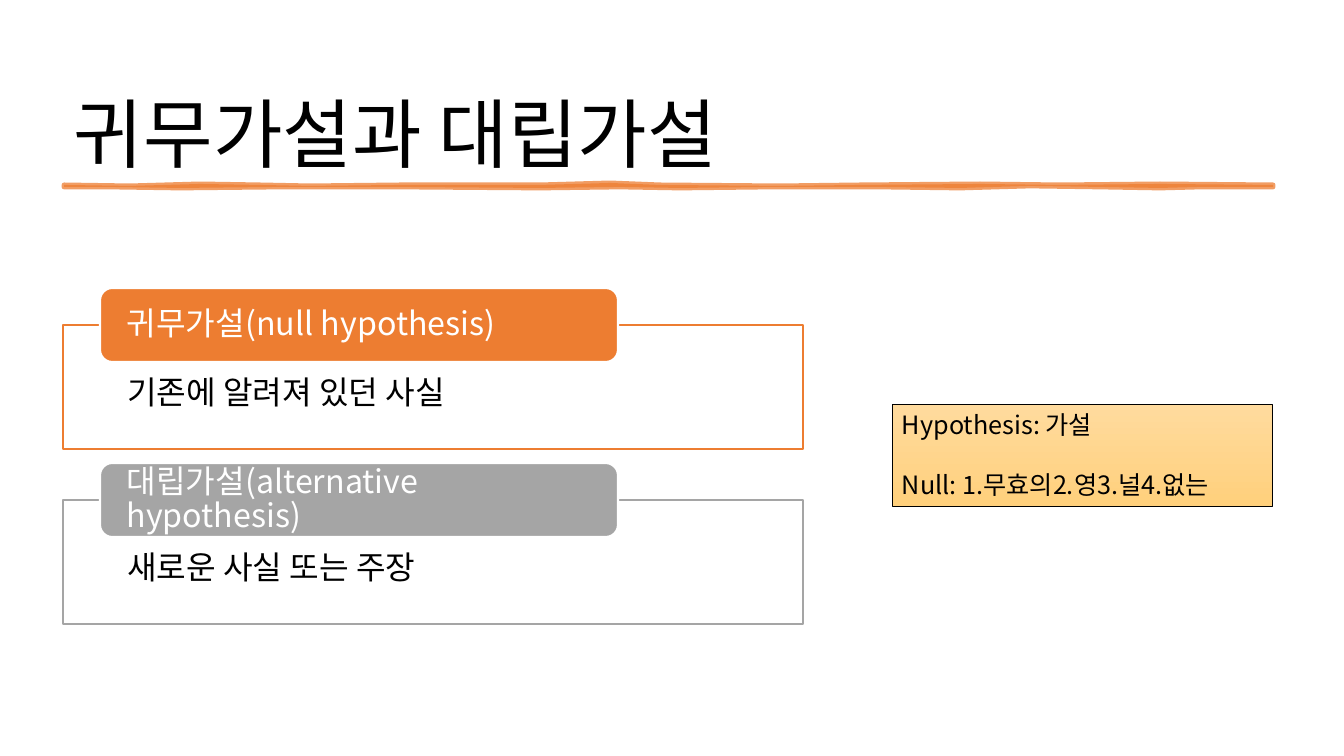
from lxml.etree import SubElement as Sub
from pptx import Presentation
from pptx.dml.color import RGBColor as Rgb
from pptx.enum.shapes import MSO_SHAPE as Kind
from pptx.enum.text import MSO_ANCHOR as Anchor, PP_ALIGN as Align
from pptx.oxml.ns import qn
from pptx.util import Pt

PX = 914400 / 100.8
FONT = "Noto Sans CJK KR"
ORANGE, GRAY, WHITE, BLACK = "ED7D31", "A5A5A5", "FFFFFF", "000000"


def rgb(code):
    return Rgb.from_string(code)


def write(shape, lines, size, ink, anchor, inset, space=1.0):
    frame = shape.text_frame
    frame.word_wrap = True
    frame.vertical_anchor = anchor
    left, top, right, low = [int(n * PX) for n in inset]
    frame.margin_left, frame.margin_top = left, top
    frame.margin_right, frame.margin_bottom = right, low
    frame.text = "\n".join(lines)
    for para in frame.paragraphs:
        para.alignment = Align.LEFT
        para.line_spacing = space
        font = para.font
        font.size = Pt(size)
        font.color.rgb = rgb(ink)
        font.name = FONT
        Sub(para._p.pPr.find(qn("a:defRPr")), qn("a:ea"), typeface=FONT)


deck = Presentation()
deck.slide_width, deck.slide_height = int(1344 * PX), int(756 * PX)
slide = deck.slides.add_slide(deck.slide_layouts[6])
shapes = slide.shapes

title = shapes.add_textbox(*[int(n * PX) for n in (64, 26, 1215, 158)])
write(title, ["귀무가설과 대립가설"], 54, BLACK, Anchor.BOTTOM, (10, 5, 10, 5), 0.9)

upper = [(64, 185), (130, 186), (200, 184), (260, 185), (310, 186), (400, 185),
         (540, 185), (610, 183), (660, 185), (780, 186), (860, 185), (980, 184),
         (1060, 185), (1160, 184), (1273, 185)]
lower = [(1273, 187), (1200, 187), (1160, 188), (1100, 187), (1030, 186),
         (960, 188), (880, 187), (770, 187), (680, 188), (620, 187), (540, 188),
         (400, 187), (280, 187), (180, 188), (110, 187), (64, 187)]
pen = shapes.build_freeform(*upper[0], scale=PX)
pen.add_line_segments(upper[1:] + lower, close=True)
stroke = pen.convert_to_shape()
stroke.shadow.inherit = False
stroke.fill.solid()
stroke.fill.fore_color.rgb = rgb(ORANGE)
stroke.line.color.rgb = rgb(ORANGE)
stroke.line.width = Pt(3.5)
for tint in stroke._element.spPr.iter(qn("a:srgbClr")):
    Sub(tint, qn("a:alpha"), val="75000")

cards = [
    ("귀무가설(null hypothesis)", "기존에 알려져 있던 사실", ORANGE),
    ("대립가설(alternative hypothesis)", "새로운 사실 또는 주장", GRAY),
]
for row, (head, body, hue) in enumerate(cards):
    top = 325 + 175 * row
    parts = [
        (Kind.RECTANGLE, (63, top, 740, 124), WHITE, hue, 1,
         body, BLACK, Anchor.TOP, (64, 52, 57, 18)),
        (Kind.ROUNDED_RECTANGLE, (100, top - 37, 518, 74), hue, WHITE, 1.5,
         head, WHITE, Anchor.MIDDLE, (23, 0, 23, 0)),
    ]
    for kind, area, fill, edge, width, text, ink, anchor, inset in parts:
        box = shapes.add_shape(kind, *[int(n * PX) for n in area])
        box.shadow.inherit = False
        box.fill.solid()
        box.fill.fore_color.rgb = rgb(fill)
        box.line.color.rgb = rgb(edge)
        box.line.width = Pt(width)
        write(box, [text], 23, ink, anchor, inset, 0.9)

note = shapes.add_shape(Kind.RECTANGLE, *[int(n * PX) for n in (892, 404, 380, 102)])
note.shadow.inherit = False
note.fill.gradient()
note.fill.gradient_angle = 270
for stop, hue in zip(note.fill.gradient_stops, ("FFDB9E", "FFD07C")):
    stop.color.rgb = rgb(hue)
note.line.color.rgb = rgb(BLACK)
note.line.width = Pt(0.5)
write(note, ["Hypothesis: 가설", "Null: 1.무효의2.영3.널4.없는"], 18, BLACK,
      Anchor.TOP, (10, 5, 10, 5))
note.text_frame.paragraphs[1].space_before = Pt(21.5)

deck.save("out.pptx")
